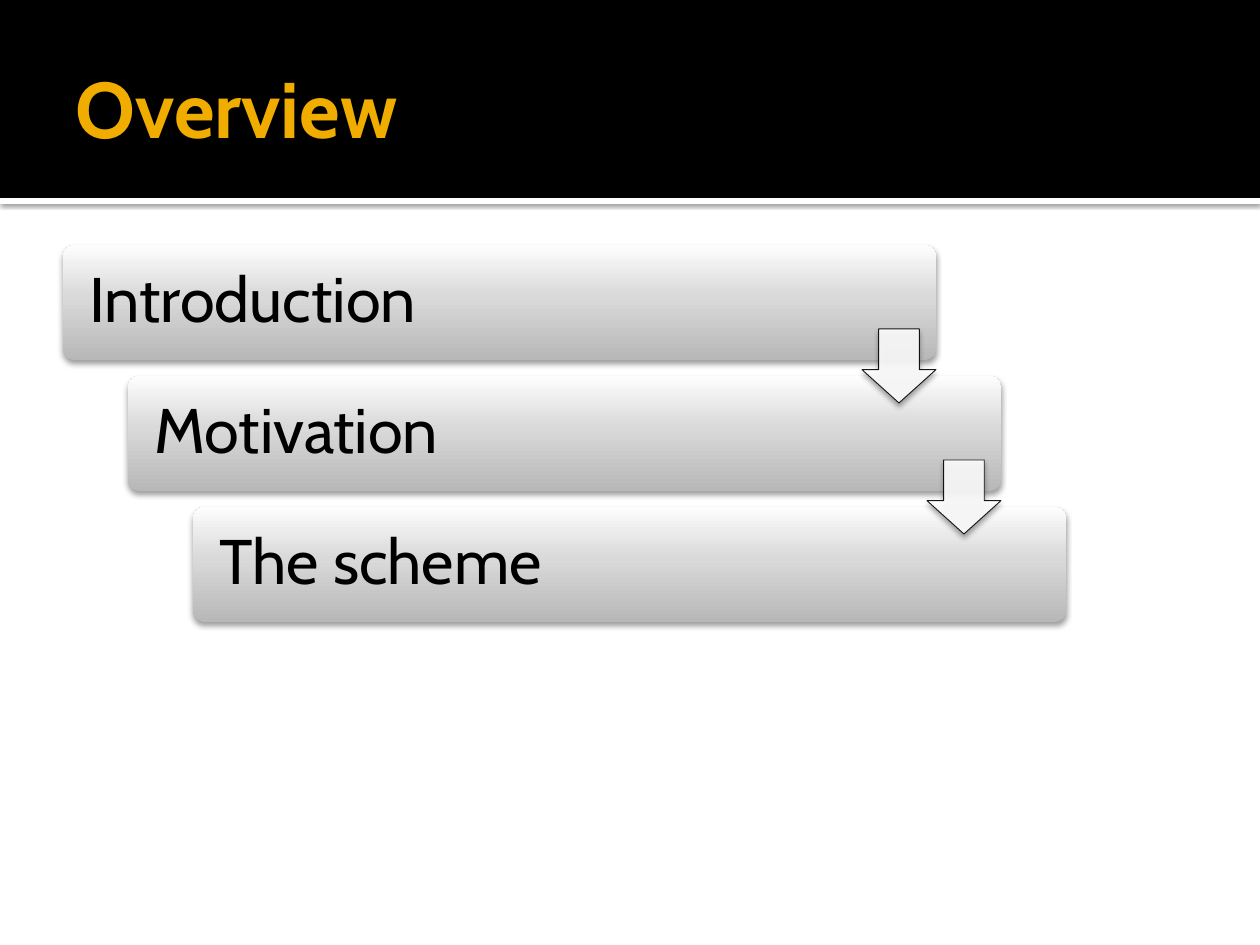
from copy import deepcopy

from lxml import etree
from pptx import Presentation
from pptx import util as u
from pptx.dml.color import RGBColor
from pptx.enum import shapes, text
from pptx.oxml import ns

BLACK = RGBColor(0x00, 0x00, 0x00)
WHITE = RGBColor(0xFF, 0xFF, 0xFF)
GOLD = RGBColor(0xF0, 0xAD, 0x00)
GRADIENT = (
    (0, RGBColor(0xB8, 0xB8, 0xB8)),
    (0.55, RGBColor(0xD9, 0xD9, 0xD9)),
    (1, RGBColor(0xFD, 0xFD, 0xFD)),
)
FONT = "Cabin"
PX_PER_INCH = 126


def px(length):
    return u.Inches(length / PX_PER_INCH)


def write_text(shape, content, size, color, insets, bold=False, spacing=1.0):
    frame = shape.text_frame
    frame.word_wrap = True
    frame.auto_size = text.MSO_AUTO_SIZE.NONE
    frame.vertical_anchor = text.MSO_ANCHOR.MIDDLE
    frame.margin_left, frame.margin_top, frame.margin_right, frame.margin_bottom = map(px, insets)
    paragraph = frame.paragraphs[0]
    paragraph.alignment = text.PP_ALIGN.LEFT
    paragraph.line_spacing = spacing
    run = paragraph.add_run()
    run.text = content
    run.font.name = FONT
    run.font.size = u.Pt(size)
    run.font.bold = bold
    run.font.color.rgb = color


def add_alpha(fill, percent):
    color = fill._xPr.find(".//" + ns.qn("a:srgbClr"))
    etree.SubElement(color, ns.qn("a:alpha"), val=str(percent * 1000))


def add_shadow(shape, opacity, blur, distance):
    effects = shape._element.spPr.find(ns.qn("a:effectLst"))
    shadow = etree.SubElement(
        effects, ns.qn("a:outerShdw"), blurRad=str(u.Pt(blur)), dist=str(u.Pt(distance)),
        dir="5400000", algn="ctr", rotWithShape="0")
    color = etree.SubElement(shadow, ns.qn("a:srgbClr"), val=str(BLACK))
    etree.SubElement(color, ns.qn("a:alpha"), val=str(opacity * 1000))


class SlideBuilder:
    def __init__(self, slide):
        self.slide = slide

    def shape(self, kind, left, top, width, height):
        shape = self.slide.shapes.add_shape(kind, px(left), px(top), px(width), px(height))
        shape.shadow.inherit = False
        shape.line.fill.background()
        return shape

    def band(self, top, height, color):
        band = self.shape(shapes.MSO_SHAPE.RECTANGLE, 0, top, 1260, height)
        band.fill.solid()
        band.fill.fore_color.rgb = color
        return band

    def title(self, content):
        title = self.slide.shapes.title
        title.left, title.top, title.width, title.height = map(px, (63, 21, 1134, 173))
        write_text(title, content, size=45, color=GOLD, insets=(13, 6, 6, 6), bold=True)
        self.slide.shapes._spTree.append(title._element)

    def step(self, content, left, top, width, height, right_inset):
        step = self.shape(shapes.MSO_SHAPE.ROUNDED_RECTANGLE, left, top, width, height)
        step.adjustments[0] = 0.1
        step.fill.gradient()
        step.fill.gradient_angle = 90
        first_stop = step._element.spPr.find(".//" + ns.qn("a:gs"))
        first_stop.addnext(deepcopy(first_stop))
        for stop, (position, color) in zip(step.fill.gradient_stops, GRADIENT):
            stop.position = position
            stop.color.rgb = color
        add_shadow(step, opacity=38, blur=3.1, distance=2)
        write_text(step, content, size=36, color=BLACK,
                   insets=(23, 23, right_inset, 23), spacing=0.9)

    def arrow(self, left, top, size):
        arrow = self.shape(shapes.MSO_SHAPE.DOWN_ARROW, left, top, size, size)
        arrow.adjustments[0] = 0.55
        arrow.adjustments[1] = 0.45
        arrow.fill.solid()
        arrow.fill.fore_color.rgb = WHITE
        add_alpha(arrow.fill, 90)
        arrow.line.color.rgb = BLACK
        arrow.line.width = u.Pt(0.5)
        add_alpha(arrow.line.fill, 90)
        add_shadow(arrow, opacity=38, blur=3.1, distance=2)


def main():
    presentation = Presentation()
    presentation.slide_width = px(1260)
    presentation.slide_height = px(945)
    builder = SlideBuilder(presentation.slides.add_slide(presentation.slide_layouts[5]))

    divider = builder.band(198, 6, WHITE)
    add_shadow(divider, opacity=60, blur=2.5, distance=0.8)
    builder.band(0, 198, BLACK)
    builder.title("Overview")

    left, top, width, height = 63, 245, 873, 115
    shift, pitch, arrow_size = 65, 131, 74
    steps = ("Introduction", "Motivation", "The scheme")
    for index, content in enumerate(steps):
        builder.step(content, left + index * shift, top + index * pitch, width, height,
                     right_inset=163 if index else 152)
    for index in range(len(steps) - 1):
        builder.arrow(left + width - arrow_size + index * shift, 329 + index * pitch, arrow_size)

    presentation.save("out.pptx")


if __name__ == "__main__":
    main()
